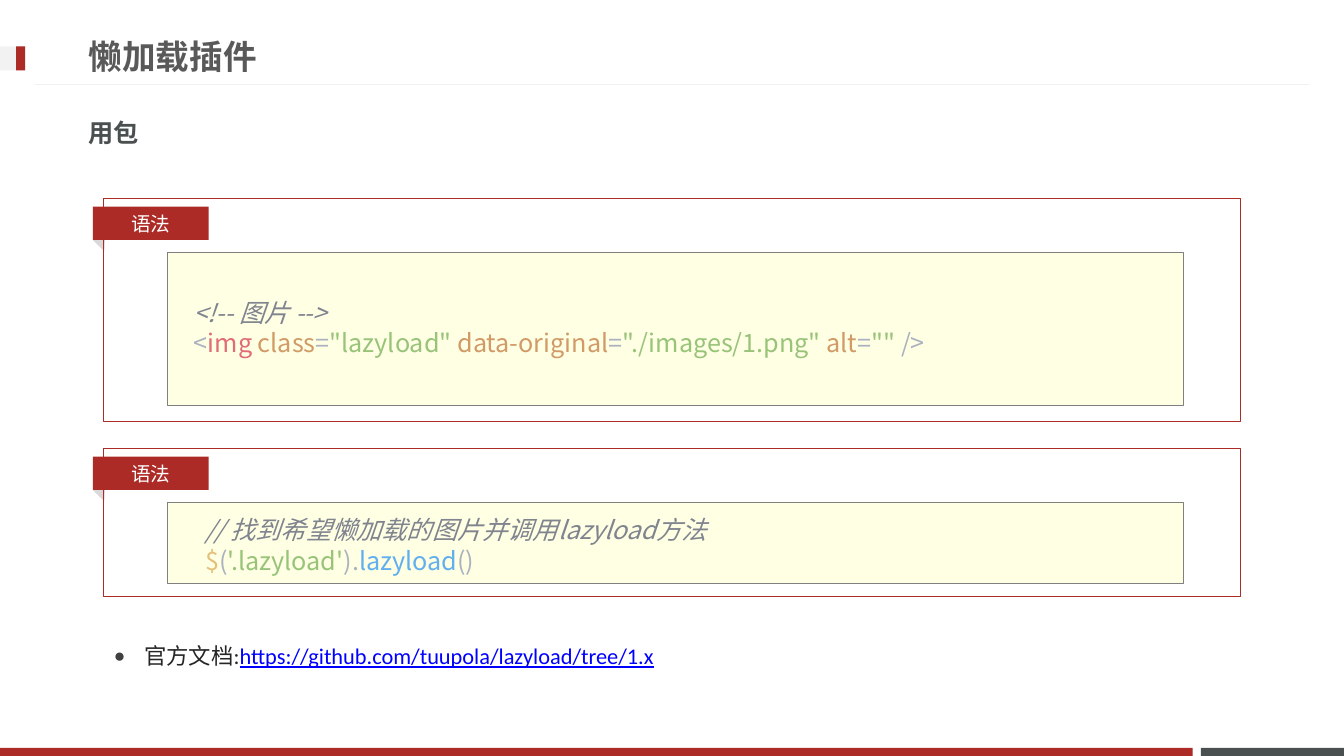
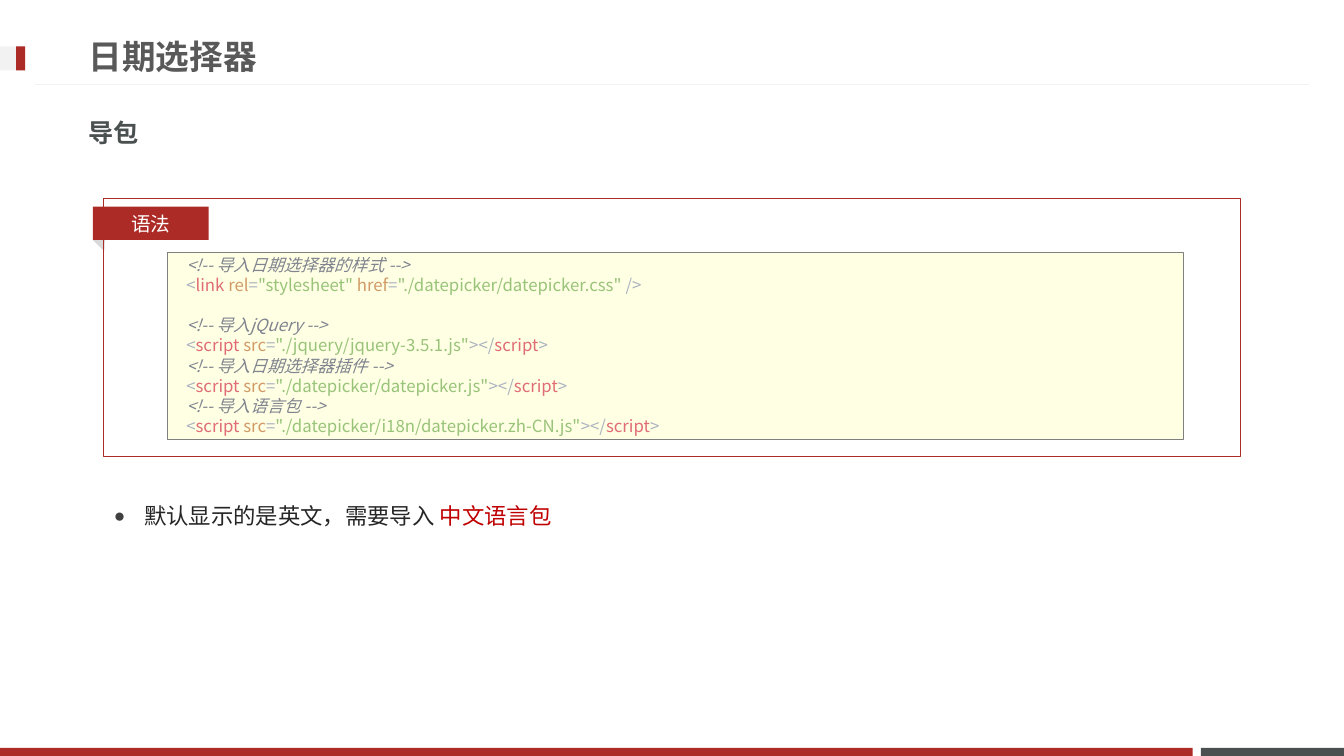
from lxml import etree
from pptx import Presentation
from pptx import util as u
from pptx.dml.color import RGBColor
from pptx.enum import shapes, text
from pptx.oxml import ns

# Colours
RED = RGBColor(0xAD, 0x2B, 0x26)
SLATE = RGBColor(0x49, 0x50, 0x4F)
PALE = RGBColor(0xF2, 0xF2, 0xF2)
FOLD = RGBColor(0xD9, 0xD9, 0xD9)
HEAD = RGBColor(0x59, 0x59, 0x59)
INK = RGBColor(0x26, 0x26, 0x26)
WHITE = RGBColor(0xFF, 0xFF, 0xFF)
CREAM = RGBColor(0xFF, 0xFF, 0xE4)
EDGE = RGBColor(0x80, 0x80, 0x80)
LINK = RGBColor(0x00, 0x00, 0xFF)
ALERT = RGBColor(0xC0, 0x00, 0x00)

# Code colours
PLAIN = RGBColor(0xAB, 0xB2, 0xBF)
NOTE = RGBColor(0x7F, 0x84, 0x8E)
NAME = RGBColor(0xE0, 0x6C, 0x75)
ATTR = RGBColor(0xD1, 0x9A, 0x66)
VALUE = RGBColor(0x98, 0xC3, 0x79)
SIGN = RGBColor(0xE5, 0xC0, 0x7B)
CALL = RGBColor(0x61, 0xAF, 0xEF)

LATIN = "Calibri"
CJK = "Noto Sans CJK JP"
RECT = shapes.MSO_SHAPE.RECTANGLE
MIDDLE = text.MSO_ANCHOR.MIDDLE
LEFT = text.PP_ALIGN.LEFT


def place(shape, box):
    shape.left, shape.top, shape.width, shape.height = map(u.Inches, box)


def draw(slide, box, fill=None, line=None, width=0.75, kind=RECT, turn=0):
    shape = slide.shapes.add_shape(kind, *map(u.Inches, box))
    shape.shadow.inherit = False
    shape.rotation = turn
    if fill is None:
        shape.fill.background()
    else:
        shape.fill.solid()
        shape.fill.fore_color.rgb = fill
    if line is None:
        shape.line.fill.background()
    else:
        shape.line.color.rgb = line
        shape.line.width = u.Pt(width)
    return shape


def write(shape, rows, size, font=LATIN, bold=False, align=LEFT, anchor=MIDDLE,
          indent=0, bullet=False, pitch=None, gaps=()):
    """Each row is a list of runs: (words, colour, *styles)."""
    frame = shape.text_frame
    frame.word_wrap = True
    frame.auto_size = text.MSO_AUTO_SIZE.NONE
    frame.vertical_anchor = anchor
    for i, row in enumerate(rows):
        para = frame.paragraphs[0] if i == 0 else frame.add_paragraph()
        props = para._p.get_or_add_pPr()
        props.set("marL", str(u.Inches(indent)))
        props.set("indent", str(u.Inches(-indent if bullet else 0)))
        if bullet:
            tint = etree.SubElement(props, ns.qn("a:buClr"))
            etree.SubElement(tint, ns.qn("a:srgbClr"), val="404040")
            etree.SubElement(props, ns.qn("a:buSzPct"), val="85000")
            etree.SubElement(props, ns.qn("a:buChar"), char="●")
        else:
            etree.SubElement(props, ns.qn("a:buNone"))
        para.alignment = align
        para.space_before = pitch if i in gaps else u.Pt(0)
        if pitch:
            para.line_spacing = pitch
        for words, tint, *styles in row:
            run = para.add_run()
            run.text = words
            run.font.size = u.Pt(size)
            run.font.bold = bold
            run.font.color.rgb = tint
            run.font.name = font
            for style in styles:
                setattr(run.font, style, True)
            etree.SubElement(run._r.get_or_add_rPr(), ns.qn("a:ea"), typeface=CJK)


# Code rows
def note(words):
    return [(words, NOTE, "italic")]


def tag(name, paired=False, **attrs):
    row = [("<", PLAIN), (name, NAME)]
    for key, value in attrs.items():
        row += [(" " + key.replace("_", "-"), ATTR), ("=", PLAIN),
                (f'"{value}"', VALUE)]
    if paired:
        return row + [("></", PLAIN), (name, NAME), (">", PLAIN)]
    return row + [(" />", PLAIN)]


def base(deck, title, topic):
    """Bands, title marker, rule, title and topic."""
    slide = deck.slides.add_slide(deck.slide_layouts[3])
    draw(slide, (11.91, 7.42, 1.42, 0.08), SLATE)
    draw(slide, (0, 7.42, 11.83, 0.08), RED)
    rule = slide.shapes.add_connector(
        shapes.MSO_CONNECTOR.STRAIGHT,
        *map(u.Inches, (12.98, 0.84, 0.35, 0.84)))
    rule.line.color.rgb = PALE
    rule.line.width = u.Pt(0.75)
    etree.SubElement(rule._element.spPr, ns.qn("a:effectLst"))
    draw(slide, (0, 0.46, 0.25, 0.24), PALE)
    draw(slide, (0.16, 0.46, 0.09, 0.24), RED)
    head, sub = slide.shapes.title, slide.placeholders[1]
    place(head, (0.78, 0.27, 9.59, 0.57))
    write(head, [[(title, HEAD)]], 24, bold=True)
    place(sub, (0.78, 1.03, 11.76, 0.57))
    write(sub, [[(topic, SLATE)]], 18, font=CJK, bold=True)
    return slide


def panel(slide, box, field, span, rows, size, pad=4, gaps=()):
    """Framed code; field is the code area's height, span the text's top and height."""
    left, top, width, height = box
    draw(slide, (left + 0.63, top + 0.53, width - 1.19, field), CREAM, EDGE, 0.25)
    draw(slide, (left - 0.1, top + 0.39, 0.16, 0.09), FOLD,
         kind=shapes.MSO_SHAPE.ISOSCELES_TRIANGLE, turn=44.2)
    draw(slide, box, line=RED)
    label = draw(slide, (left - 0.11, top + 0.08, 1.15, 0.33), RED)
    write(label, [[("语法", WHITE)]], 14, align=text.PP_ALIGN.CENTER)
    start, tall = span
    code = slide.shapes.add_textbox(
        *map(u.Inches, (left + 0.07, top + start, 8.81, tall)))
    rows = [[(" " * pad, PLAIN)] + row for row in rows]
    write(code, rows, size, font=CJK, indent=0.5, pitch=u.Pt(size * 1.2), gaps=gaps)


def point(slide, box, row):
    """Bulleted remark under the panels."""
    body = slide.placeholders[2]
    place(body, box)
    write(body, [row], 16, anchor=text.MSO_ANCHOR.TOP, indent=0.3,
          bullet=True, pitch=1.5)


def lazy(deck):
    slide = base(deck, "懒加载插件", "用包")
    panel(slide, (1.03, 1.97, 11.27, 2.21), 1.52, (0.92, 0.71), [
        note("<!-- 图片 -->"),
        tag("img", **{"class": "lazyload"}, data_original="./images/1.png", alt=""),
    ], 18)
    panel(slide, (1.03, 4.45, 11.27, 1.47), 0.81, (0.6, 0.71), [
        note("// 找到希望懒加载的图片并调用lazyload方法"),
        [("$", SIGN), ("(", PLAIN), ("'.lazyload'", VALUE), (").", PLAIN),
         ("lazyload", CALL), ("()", PLAIN)],
    ], 18, pad=6)
    point(slide, (1.03, 6.19, 11.76, 0.84), [
        ("官方文档:", INK),
        ("https://github.com/tuupola/lazyload/tree/1.x", LINK, "underline")])


def dates(deck):
    slide = base(deck, "日期选择器", "导包")
    panel(slide, (1.03, 1.97, 11.27, 2.56), 1.86, (0.5, 1.91), [
        note("<!-- 导入日期选择器的样式 -->"),
        tag("link", rel="stylesheet", href="./datepicker/datepicker.css"),
        note("<!-- 导入jQuery -->"),
        tag("script", True, src="./jquery/jquery-3.5.1.js"),
        note("<!-- 导入日期选择器插件 -->"),
        tag("script", True, src="./datepicker/datepicker.js"),
        note("<!-- 导入语言包 -->"),
        tag("script", True, src="./datepicker/i18n/datepicker.zh-CN.js"),
    ], 12, gaps=(2,))
    point(slide, (1.03, 4.8, 11.76, 2.36), [
        ("默认显示的是英文，需要导入 ", INK), ("中文语言包", ALERT)])


def main():
    deck = Presentation()
    deck.slide_width, deck.slide_height = u.Inches(13.33), u.Inches(7.5)
    lazy(deck)
    dates(deck)
    deck.save("out.pptx")


if __name__ == "__main__":
    main()
